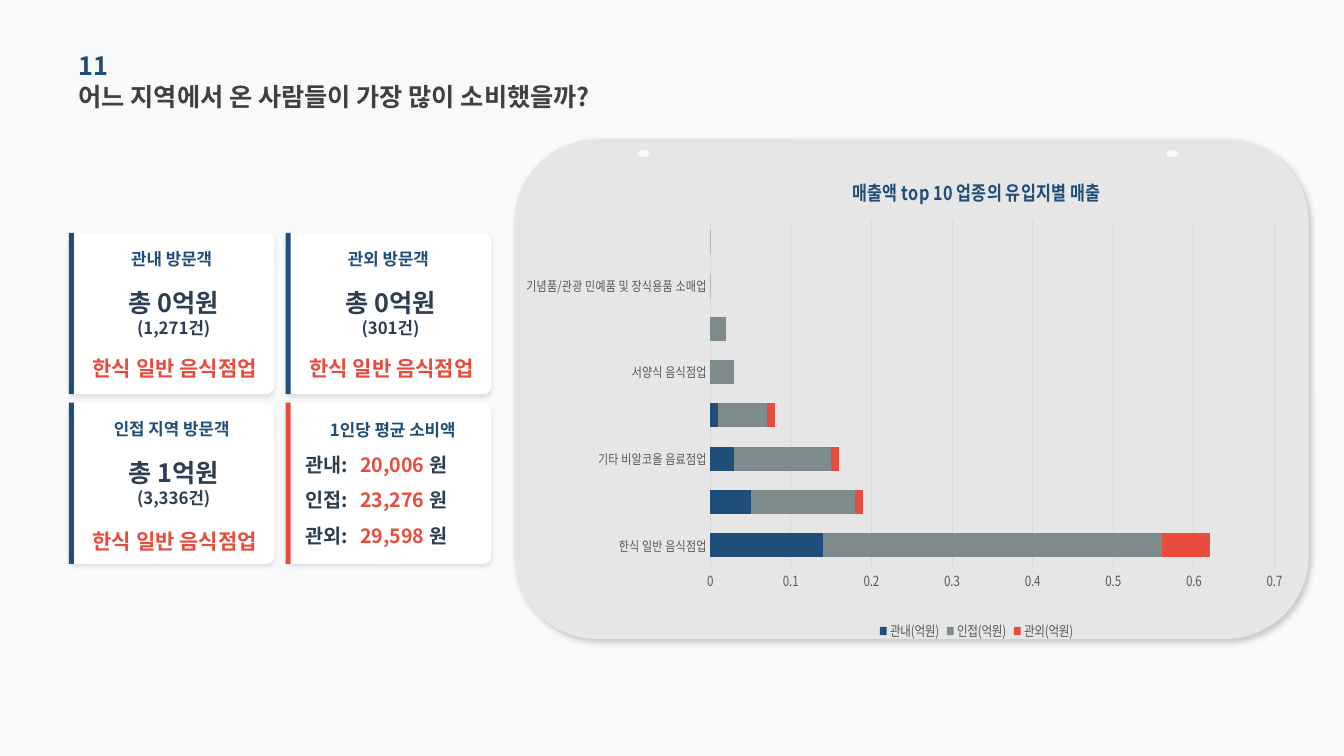
"""Build the slide on which visitors' home regions spent the most."""
from dataclasses import dataclass
from typing import NamedTuple

from lxml.etree import SubElement
from pptx import Presentation
from pptx.chart.data import CategoryChartData
from pptx.dml.color import RGBColor
from pptx.enum.chart import XL_CHART_TYPE as ChartType, XL_LEGEND_POSITION as LegendPosition
from pptx.enum.chart import XL_TICK_MARK as TickMark
from pptx.enum.shapes import MSO_SHAPE as Preset
from pptx.enum.text import MSO_ANCHOR as Anchor, MSO_AUTO_SIZE as AutoSize, PP_ALIGN as Align
from pptx.oxml.ns import qn
from pptx.util import Inches, Pt

COLORS = {
    "page": "F8F9FA", "panel": "E7E6E6", "card": "FFFFFF", "navy": "1F4E79",
    "red": "E74C3C", "gray": "7F8C8D", "ink": "2C3E50", "heading": "404040",
    "axis": "595959", "grid": "D9D9D9", "black": "000000",
}
FONT = "Noto Sans CJK KR"
CELL = Inches(0.1)
CARD_LEFT, CARD_TOP, CARD_WIDTH, CARD_HEIGHT = 6.83, 23.1, 20.4, 16
CARD_PITCH_X, CARD_PITCH_Y = 21.5, 16.85


class Box(NamedTuple):
    """Place and size in grid cells."""
    left: float
    top: float
    width: float
    height: float


class Shadow(NamedTuple):
    """Outer shadow: percent, points, points, degrees."""
    opacity: int
    blur: float
    distance: float
    angle: int


@dataclass
class Visitors:
    """Spending summary of one visitor group."""
    column: int
    row: int
    heading: str
    total: str
    count: str
    industry: str


class Spend(NamedTuple):
    """Average spending per person."""
    region: str
    amount: str


class Series(NamedTuple):
    """One stacked chart series."""
    name: str
    color: str
    values: tuple


VISITORS = [
    Visitors(0, 0, "관내 방문객", "총 0억원", "(1,271건)", "한식 일반 음식점업"),
    Visitors(1, 0, "관외 방문객", "총 0억원", "(301건)", "한식 일반 음식점업"),
    Visitors(0, 1, "인접 지역 방문객", "총 1억원", "(3,336건)", "한식 일반 음식점업"),
]
SPENDING = [Spend("관내:", "20,006 "), Spend("인접:", "23,276 "), Spend("관외:", "29,598 ")]
INDUSTRIES = [
    "한식 일반 음식점업", "의약품 및 의료용품 소매업", "기타 비알코올 음료점업",
    "김밥 및 기타 간이 음식점업", "서양식 음식점업", "일식 음식점업",
    "기념품/관광 민예품 및 장식용품 소매업", "의복 액세서리 및 모조 장신구 소매업",
]
SALES = [
    Series("관내(억원)", "navy", (0.14, 0.05, 0.03, 0.01, 0, 0, 0, 0)),
    Series("인접(억원)", "gray", (0.42, 0.13, 0.12, 0.06, 0.03, 0.02, 0, 0)),
    Series("관외(억원)", "red", (0.06, 0.01, 0.01, 0.01, 0, 0, 0, 0)),
]


def rgb(name: str) -> RGBColor:
    """Look up a named colour."""
    return RGBColor.from_string(COLORS[name])


def cells(box: Box) -> list:
    """Convert grid cells to lengths."""
    return [int(length * CELL) for length in box]


def style_font(font, size: float, color: str, bold: bool = False) -> None:
    """Format Latin and East Asian text alike."""
    font.size, font.bold, font.name = Pt(size), bold, FONT
    font.color.rgb = rgb(color)
    SubElement(font._rPr, qn("a:ea"), typeface=FONT)


def write(frame, *runs, size: float, color: str, align=Align.LEFT,
          kerned: bool = True) -> None:
    """Write runs, each text or (text, color, size), with None for a line break."""
    frame.word_wrap, frame.auto_size = True, AutoSize.NONE
    frame.vertical_anchor = Anchor.MIDDLE
    frame.margin_left = frame.margin_right = frame.margin_top = frame.margin_bottom = 0
    line = frame.paragraphs[0]
    line.alignment, line.line_spacing = align, 1.0
    for item in runs:
        if item is None:
            line.add_line_break()
            continue
        text, run_color, run_size = (item, color, size) if isinstance(item, str) else item
        run = line.add_run()
        run.text = text
        style_font(run.font, run_size, run_color, bold=True)
        if not kerned:
            run.font._rPr.set("kern", "0")


def label(slide, box: Box, *runs, **style) -> None:
    """Add a text box."""
    write(slide.shapes.add_textbox(*cells(box)).text_frame, *runs, **style)


def block(slide, preset, box: Box, color: str, corner: float | None = None,
          shadow: Shadow | None = None) -> None:
    """Add a filled shape without outline."""
    shape = slide.shapes.add_shape(preset, *cells(box))
    shape.shadow.inherit = False
    shape.fill.solid()
    shape.fill.fore_color.rgb = rgb(color)
    shape.line.fill.background()
    if corner is not None:
        shape.adjustments[0] = corner
    if shadow:
        effects = shape.element.spPr.find(qn("a:effectLst"))
        outer = SubElement(effects, qn("a:outerShdw"), blurRad=str(Pt(shadow.blur)),
                           dist=str(Pt(shadow.distance)), dir=str(shadow.angle * 60000),
                           algn="t", rotWithShape="0")
        tint = SubElement(outer, qn("a:srgbClr"), val=COLORS["black"])
        SubElement(tint, qn("a:alpha"), val=str(shadow.opacity * 1000))


def card(slide, column: int, row: int, accent: str) -> tuple[float, float]:
    """Draw a card with its accent bar and return its corner."""
    left, top = CARD_LEFT + column * CARD_PITCH_X, CARD_TOP + row * CARD_PITCH_Y
    block(slide, Preset.ROUNDED_RECTANGLE, Box(left, top, CARD_WIDTH, CARD_HEIGHT),
          "card", corner=0.05, shadow=Shadow(10, 3, 2, 90))
    block(slide, Preset.RECTANGLE, Box(left, top, 0.5, CARD_HEIGHT), accent)
    return left, top


def visitor_card(slide, group: Visitors) -> None:
    """Fill a card with one visitor group."""
    left, top = card(slide, group.column, group.row, "navy")
    centered = {"align": Align.CENTER, "kerned": False}
    label(slide, Box(left, top + 1.05, CARD_WIDTH, 3.1), group.heading,
          size=12, color="navy", **centered)
    label(slide, Box(left + 0.2, top + 5.55, CARD_WIDTH, 4.7), group.total, None,
          (group.count, "ink", 12), size=18, color="ink", **centered)
    label(slide, Box(left + 0.3, top + 11.1 + 0.3 * group.row, CARD_WIDTH, 4.7),
          group.industry, size=15, color="red", **centered)


def spending_card(slide) -> None:
    """Fill the card of average spending per person."""
    left, top = card(slide, 1, 1, "red")
    label(slide, Box(left + 4.4, top + 1.45, 14, 2.5), "1인당 평균 소비액", size=12, color="navy")
    for index, spend in enumerate(SPENDING):
        row_top = top + 4.65 + index * 3.5
        label(slide, Box(left + 2, row_top, 5.9, 3), spend.region, size=14, color="ink")
        label(slide, Box(left + 7.4, row_top, 12, 3), spend.amount, ("원", "ink", 14),
              size=14, color="red")


def place(part, **shares: float) -> None:
    """Give a chart part a manual layout in shares of the chart."""
    for old in part.findall(qn("c:layout")):
        part.remove(old)
    layout = part.makeelement(qn("c:layout"))
    manual = SubElement(layout, qn("c:manualLayout"))
    if "w" in shares:
        SubElement(manual, qn("c:layoutTarget"), val="inner")
    for axis in "xy":
        SubElement(manual, qn(f"c:{axis}Mode"), val="edge")
    for key, share in shares.items():
        SubElement(manual, qn(f"c:{key}"), val=str(share))
    overlay = part.find(qn("c:overlay"))
    if overlay is None:
        part.insert(0, layout)
    else:
        overlay.addprevious(layout)


def sales_chart(slide) -> None:
    """Add the stacked bars of sales by industry and origin."""
    data = CategoryChartData()
    data.categories = INDUSTRIES
    for series in SALES:
        data.add_series(series.name, series.values)
    chart = slide.shapes.add_chart(ChartType.BAR_STACKED, *cells(Box(52.2, 15.6, 76.1, 48.4)),
                                   data).chart
    chart.font.size, chart.font.name = Pt(10), "Calibri"
    chart.font.color.rgb = rgb("black")
    bars = chart.plots[0]
    bars.gap_width, bars.overlap, bars.vary_by_categories = 80, 100, False
    for drawn, series in zip(bars.series, SALES):
        drawn.format.fill.solid()
        drawn.format.fill.fore_color.rgb = rgb(series.color)
    industry, sales = chart.category_axis, chart.value_axis
    for axis, size in ((industry, 9.5), (sales, 10)):
        axis.major_tick_mark = axis.minor_tick_mark = TickMark.NONE
        style_font(axis.tick_labels.font, size, "axis")
    sales.has_major_gridlines = True
    sales.minimum_scale, sales.maximum_scale, sales.major_unit = 0, 0.7, 0.1
    sales.format.line.fill.background()
    for line in (industry.format.line, sales.major_gridlines.format.line):
        line.width, line.color.rgb = Pt(0.75), rgb("grid")
    chart.has_title = chart.has_legend = True
    heading = chart.chart_title.text_frame.paragraphs[0].add_run()
    heading.text = "매출액 top 10 업종의 유입지별 매출"
    style_font(heading.font, 14, "navy", bold=True)
    chart.legend.position, chart.legend.include_in_layout = LegendPosition.BOTTOM, False
    style_font(chart.legend.font, 10, "axis")
    place(chart.element.find(".//" + qn("c:title")), x=0.3, y=0.03)
    place(chart.element.find(".//" + qn("c:plotArea")), x=0.08, y=0.13, w=0.89, h=0.71)


def main() -> None:
    """Assemble and save the slide."""
    deck = Presentation()
    deck.slide_width, deck.slide_height = Inches(13.33), Inches(7.5)
    slide = deck.slides.add_slide(deck.slide_layouts[5])
    slide.background.fill.solid()
    slide.background.fill.fore_color.rgb = rgb("page")
    question = slide.shapes.title
    question.left, question.top, question.width, question.height = cells(Box(7.8, 7.5, 53.5, 4.1))
    write(question.text_frame, "어느 지역에서 온 사람들이 가장 많이 소비했을까?",
          size=18, color="heading", kerned=False)
    label(slide, Box(7.8, 4.4, 45.2, 4.1), "11", size=18, color="navy")
    block(slide, Preset.ROUNDED_RECTANGLE, Box(51, 13.8, 78.8, 49.6), "panel",
          shadow=Shadow(20, 4, 3, 45))
    for pin_left in (63.2, 115.7):
        block(slide, Preset.OVAL, Box(pin_left, 14.9, 1.2, 0.7), "page")
    for group in VISITORS:
        visitor_card(slide, group)
    spending_card(slide)
    sales_chart(slide)
    deck.save("out.pptx")


if __name__ == "__main__":
    main()
